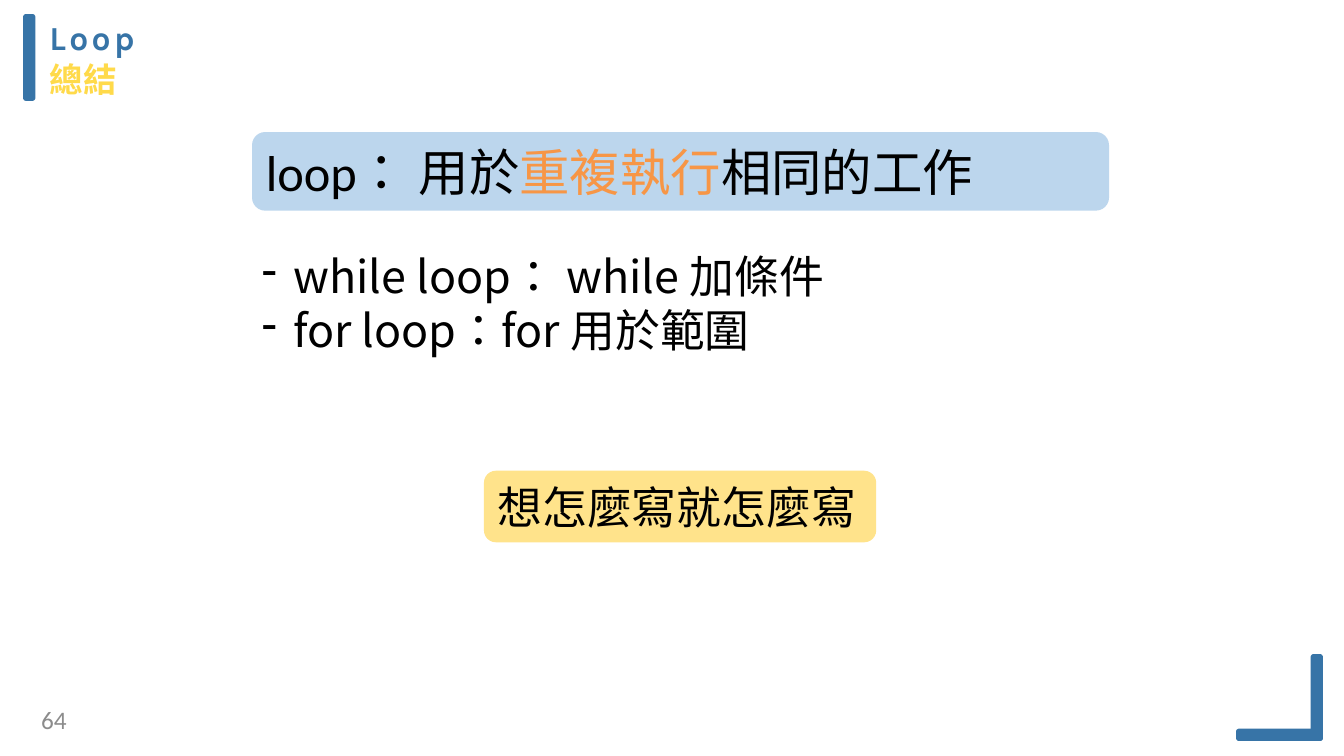
from lxml.etree import SubElement
from pptx import Presentation
from pptx.dml.color import RGBColor
from pptx.enum.shapes import MSO_SHAPE
from pptx.enum.text import MSO_ANCHOR, PP_ALIGN
from pptx.oxml.ns import qn
from pptx.util import Inches, Pt

BLUE = RGBColor(0x37, 0x74, 0xA7)
YELLOW = RGBColor(0xFF, 0xDA, 0x4A)
PALE_BLUE = RGBColor(0xBC, 0xD6, 0xED)
PALE_YELLOW = RGBColor(0xFF, 0xE3, 0x8B)
ORANGE = RGBColor(0xF7, 0x96, 0x46)
GRAY = RGBColor(0x8C, 0x8C, 0x8C)
BLACK = RGBColor(0, 0, 0)
CJK = "Noto Sans CJK SC"

WIDTH, HEIGHT = 13.33, 7.5
BAR_LONG, BAR_THICK = 0.82, 0.08
CORNER_RIGHT, CORNER_BOTTOM = WIDTH - 0.23, HEIGHT - 0.17
LEFT = 2.5

# Each paragraph is a list of runs: text, font, size, colour
TITLE = [[("Loop", "Karla", 24, BLUE)], [("總結", CJK, 24, YELLOW)]]
TITLE_SPACING = (240, 60)
PAGE_NUMBER = [[("64", "Calibri", 18, GRAY)]]
LOOP_KINDS = [
    [("while loop： while 加條件", CJK, 32, BLACK)],
    [("for loop：for 用於範圍", CJK, 32, BLACK)],
]
SUMMARY = [[
    ("loop： ", "Calibri", 36, BLACK),
    ("用於", CJK, 36, BLACK),
    ("重複執行", CJK, 36, ORANGE),
    ("相同的工作", CJK, 36, BLACK),
]]
CLOSING = [[("想怎麼寫就怎麼寫", CJK, 32, BLACK)]]

BARS = [
    (0.25, 0.16, BAR_THICK, BAR_LONG),
    (CORNER_RIGHT - BAR_THICK, CORNER_BOTTOM - BAR_LONG, BAR_THICK, BAR_LONG),
    (CORNER_RIGHT - BAR_LONG, CORNER_BOTTOM - BAR_THICK, BAR_LONG, BAR_THICK),
]
PANELS = [
    ((LEFT, 1.31, 8.5, 0.78), PALE_BLUE, SUMMARY),
    ((4.8, 4.67, 3.89, 0.71), PALE_YELLOW, CLOSING),
]


def write(frame, paragraphs, alignment=PP_ALIGN.LEFT):
    frame.word_wrap = True
    for index, runs in enumerate(paragraphs):
        paragraph = frame.paragraphs[0] if index == 0 else frame.add_paragraph()
        paragraph.alignment = alignment
        for text, font_name, size, color in runs:
            run = paragraph.add_run()
            run.text = text
            for key, value in {"name": font_name, "size": Pt(size)}.items():
                setattr(run.font, key, value)
            run.font.color.rgb = color
            properties = run.font._element
            properties.set("lang", "zh-TW")
            SubElement(properties, qn("a:ea")).set("typeface", CJK)


def add_text(slide, box, paragraphs, margin=0.0, alignment=PP_ALIGN.LEFT):
    frame = slide.shapes.add_textbox(*map(Inches, box)).text_frame
    for side in ("left", "right"):
        setattr(frame, f"margin_{side}", Inches(margin))
    for side in ("top", "bottom"):
        setattr(frame, f"margin_{side}", Inches(margin / 2))
    write(frame, paragraphs, alignment)
    return frame


def add_rounded(slide, box, color):
    shape = slide.shapes.add_shape(MSO_SHAPE.ROUNDED_RECTANGLE, *map(Inches, box))
    shape.shadow.inherit = False
    shape.fill.solid()
    shape.fill.fore_color.rgb = color
    shape.line.fill.background()
    return shape


def add_title(slide):
    frame = add_text(slide, (0.48, 0.16, 4.52, 0.84), TITLE)
    frame.margin_top = Inches(0.01)
    for index, paragraph in enumerate(frame.paragraphs):
        paragraph._p.get_or_add_pPr().set("marL", str(Inches(0.01)))
        if index:
            paragraph.space_before = Pt(1)
        for run in paragraph.runs:
            run.font.bold = True
            run.font._element.set("spc", str(TITLE_SPACING[index]))


def add_dashes(frame):
    for paragraph in frame.paragraphs:
        properties = paragraph._p.get_or_add_pPr()
        properties.set("marL", str(Inches(0.31)))
        properties.set("indent", str(-Inches(0.31)))
        SubElement(properties, qn("a:buChar")).set("char", "-")


def main():
    presentation = Presentation()
    presentation.slide_width = Inches(WIDTH)
    presentation.slide_height = Inches(HEIGHT)
    slide = presentation.slides.add_slide(presentation.slide_layouts[6])

    add_title(slide)
    for box in BARS:
        bar = add_rounded(slide, box, BLUE)
        bar.adjustments[0] = 0.1
        bar.line.color.rgb = BLUE
        bar.line.width = Pt(3)
    add_text(slide, (0.08, 6.99, 0.58, 0.3), PAGE_NUMBER, alignment=PP_ALIGN.RIGHT)
    add_dashes(add_text(slide, (LEFT, 2.42, 9.45, 1.18), LOOP_KINDS, margin=0.1))
    for box, color, paragraphs in PANELS:
        frame = add_rounded(slide, box, color).text_frame
        frame.vertical_anchor = MSO_ANCHOR.MIDDLE
        write(frame, paragraphs)

    presentation.save("out.pptx")


if __name__ == "__main__":
    main()
